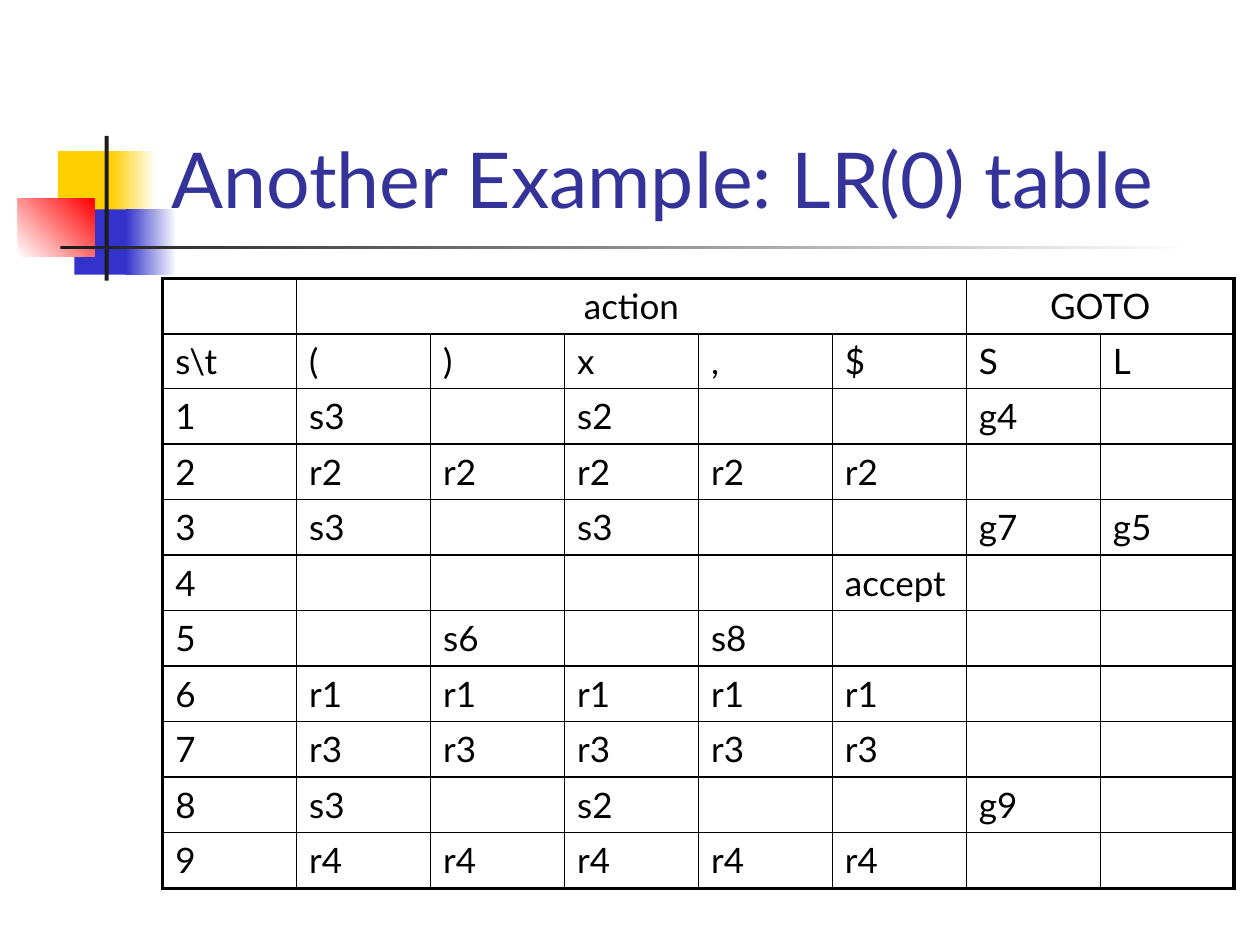
from dataclasses import dataclass
from typing import Optional

from lxml.etree import SubElement
from pptx import Presentation
from pptx.dml.color import RGBColor
from pptx.enum.shapes import MSO_SHAPE as Preset
from pptx.enum.text import MSO_ANCHOR as Anchor, MSO_AUTO_SIZE as AutoSize, PP_ALIGN as Align
from pptx.oxml.ns import qn
from pptx.util import Cm, Pt


@dataclass(frozen=True)
class Theme:
    font: str = "Lato"
    title_size: int = 44
    cell_size: int = 20
    title: str = "333399"
    text: str = "000000"
    white: str = "FFFFFF"
    yellow: str = "FFCF01"
    blue: str = "3333CC"
    red: str = "FF0000"
    dark: str = "1C1C1C"
    thin_border: float = 1
    thick_border: float = 2.25


@dataclass(frozen=True)
class Block:
    """A decorative rectangle in centimetres; it fades to end_color when one is given."""
    left: float
    top: float
    width: float
    height: float
    color: str
    end_color: Optional[str] = None
    angle: float = 0


THEME = Theme()

BLOCKS = [
    Block(1.17, 3.05, 1.22, 1.32, THEME.yellow),
    Block(2.24, 3.05, 0.91, 1.32, THEME.yellow, THEME.white),
    Block(1.5, 4.22, 1.17, 1.32, THEME.blue),
    Block(2.54, 4.22, 1.02, 1.32, THEME.blue, THEME.white),
    Block(0.36, 4.01, 1.55, 1.17, THEME.white, THEME.red, 45),
    Block(2.11, 2.74, 0.08, 2.92, THEME.dark),
    Block(1.22, 4.95, 22.86, 0.08, THEME.dark, THEME.white),
]

HEADER_GROUPS = [("action", 1, 5), ("GOTO", 6, 7)]
ROWS = [
    ["s\\t", "(", ")", "x", ",", "$", "S", "L"],
    ["1", "s3", "", "s2", "", "", "g4", ""],
    ["2", *["r2"] * 5, "", ""],
    ["3", "s3", "", "s3", "", "", "g7", "g5"],
    ["4", "", "", "", "", "accept", "", ""],
    ["5", "", "s6", "", "s8", "", "", ""],
    ["6", *["r1"] * 5, "", ""],
    ["7", *["r3"] * 5, "", ""],
    ["8", "s3", "", "s2", "", "", "g9", ""],
    ["9", *["r4"] * 5, "", ""],
]
COLUMN_WIDTH, ROW_HEIGHT = Cm(2.7), Cm(1.1)


def write_text(text_frame, text: str, *, size: float, color: str, align=Align.LEFT) -> None:
    paragraph = text_frame.paragraphs[0]
    paragraph.alignment = align
    paragraph.font.size = Pt(size)
    if not text:
        return
    run = paragraph.add_run()
    run.text = text
    run.font.name = THEME.font
    run.font.size = Pt(size)
    run.font.color.rgb = RGBColor.from_string(color)


def draw_block(slide, block: Block) -> None:
    shape = slide.shapes.add_shape(
        Preset.RECTANGLE, Cm(block.left), Cm(block.top), Cm(block.width), Cm(block.height))
    shape.shadow.inherit = False
    shape.line.fill.background()
    if block.end_color is None:
        shape.fill.solid()
        shape.fill.fore_color.rgb = RGBColor.from_string(block.color)
        return
    shape.fill.gradient()
    shape.fill.gradient_angle = block.angle
    for stop, color, position in zip(
            shape.fill.gradient_stops, (block.color, block.end_color), (0, 1)):
        stop.color.rgb = RGBColor.from_string(color)
        stop.position = position


def place_title(slide, text: str) -> None:
    title = slide.shapes.title
    title.left, title.top, title.width, title.height = Cm(3.2), Cm(0.58), Cm(21.64), Cm(4.06)
    title.text_frame.auto_size = AutoSize.NONE
    title.text_frame.vertical_anchor = Anchor.BOTTOM
    write_text(title.text_frame, text, size=THEME.title_size, color=THEME.title)
    slide.shapes.element.append(title.element)  # in front of the blocks


def set_borders(cell, thick_sides: set[str]) -> None:
    properties = cell._tc.get_or_add_tcPr()
    for side in "LRTB":
        width = THEME.thick_border if side in thick_sides else THEME.thin_border
        line = SubElement(properties, qn(f"a:ln{side}"), w=str(Pt(width)))
        fill = SubElement(line, qn("a:solidFill"))
        SubElement(fill, qn("a:srgbClr"), val=THEME.text)


def draw_parse_table(slide) -> None:
    row_count, column_count = len(ROWS) + 1, len(ROWS[0])
    table = slide.shapes.add_table(
        row_count, column_count, Cm(3.28), Cm(5.61),
        COLUMN_WIDTH * column_count, ROW_HEIGHT * row_count).table
    table.first_row = table.horz_banding = False
    for column in table.columns:
        column.width = COLUMN_WIDTH
    for row in table.rows:
        row.height = ROW_HEIGHT

    header = [""] * column_count
    for label, first, last in HEADER_GROUPS:
        header[first] = label
        table.cell(0, first).merge(table.cell(0, last))

    for row_index, labels in enumerate([header, *ROWS]):
        for column_index, label in enumerate(labels):
            cell = table.cell(row_index, column_index)
            span = cell.span_width if cell.is_merge_origin else 1
            at_edge = {
                "L": column_index == 0,
                "R": column_index + span == column_count,
                "T": row_index == 0,
                "B": row_index == row_count - 1,
            }
            set_borders(cell, {side for side, outer in at_edge.items() if outer})
            cell.fill.background()
            write_text(cell.text_frame, label, size=THEME.cell_size, color=THEME.text,
                       align=Align.CENTER if row_index == 0 else Align.LEFT)


def main() -> None:
    presentation = Presentation()
    presentation.slide_width, presentation.slide_height = Cm(25.4), Cm(19.05)
    slide = presentation.slides.add_slide(presentation.slide_layouts.get_by_name("Title Only"))
    for block in BLOCKS:
        draw_block(slide, block)
    place_title(slide, "Another Example: LR(0) table")
    draw_parse_table(slide)
    presentation.save("out.pptx")


if __name__ == "__main__":
    main()
